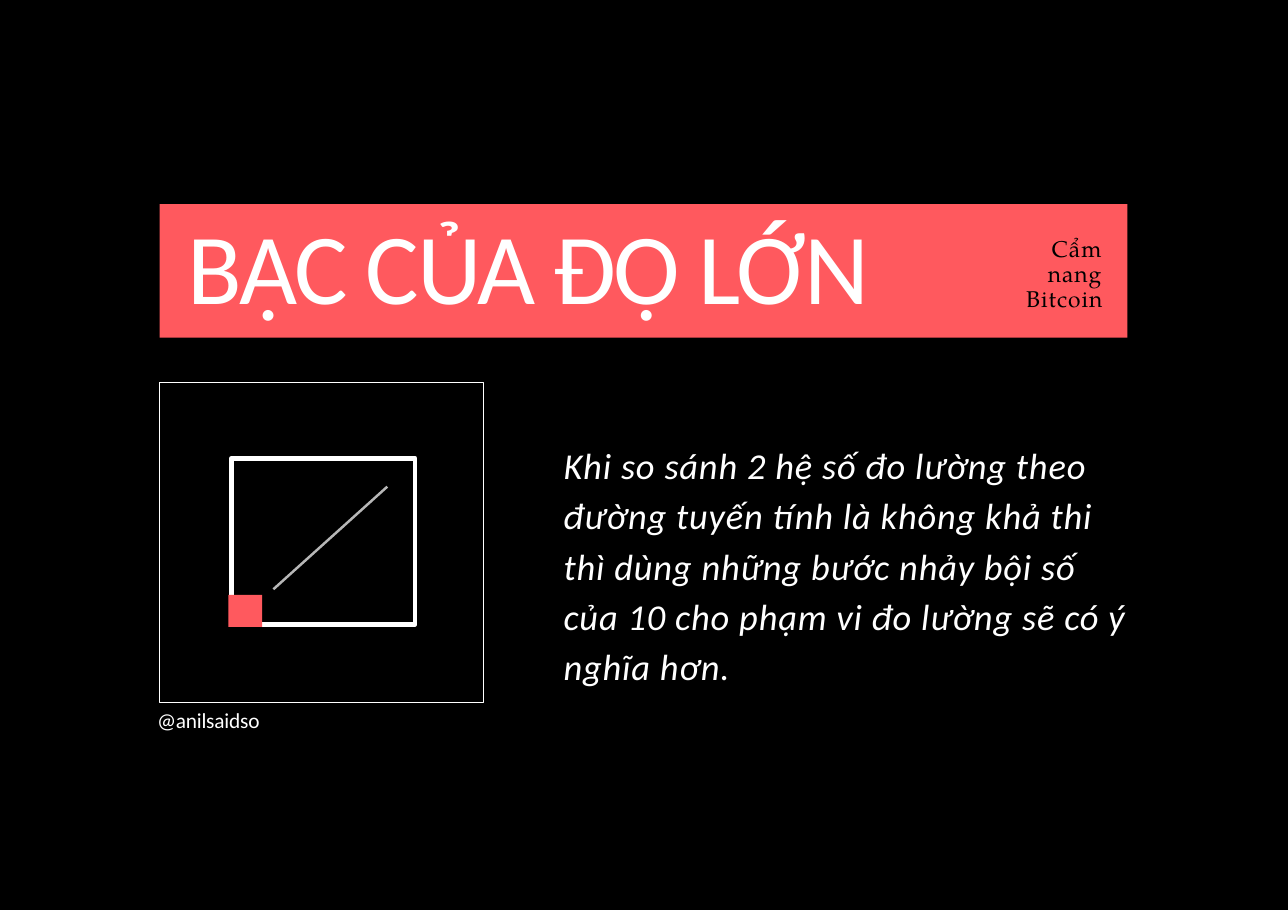
"""Build the slide that explains orders of magnitude."""
from lxml import etree
from pptx import Presentation
from pptx.dml.color import RGBColor
from pptx.enum.shapes import MSO_CONNECTOR, MSO_SHAPE
from pptx.enum.text import MSO_ANCHOR, MSO_AUTO_SIZE, PP_ALIGN
from pptx.oxml.ns import qn
from pptx.util import Pt

RECTANGLE, STRAIGHT = MSO_SHAPE.RECTANGLE, MSO_CONNECTOR.STRAIGHT
TOP, NO_FIT = MSO_ANCHOR.TOP, MSO_AUTO_SIZE.NONE
LEFT, RIGHT = PP_ALIGN.LEFT, PP_ALIGN.RIGHT

BLACK = RGBColor(0x00, 0x00, 0x00)
WHITE = RGBColor(0xFF, 0xFF, 0xFF)
CORAL = RGBColor(0xFF, 0x59, 0x5E)
GREY = RGBColor(0xB7, 0xB7, 0xB7)

SLIDE_SIZE = (784.8, 554.4)
HEADING = "BẬC CỦA ĐỘ LỚN"
DEFINITION = ("Khi so sánh 2 hệ số đo lường theo đường tuyến tính là không khả thi "
              "thì dùng những bước nhảy bội số của 10 cho phạm vi đo lường sẽ có ý "
              "nghĩa hơn.")
HANDLE = "@anilsaidso"
BOOK = "Cẩm nang Bitcoin"

RECTANGLES = [
    ((97.2, 232.8, 197.3, 195.4), None, 0.75),
    ((97.2, 124.4, 589.8, 81.4), CORAL, 0),
    ((141, 279.2, 111.9, 101), None, 3),
    ((139.2, 362.4, 20.6, 19.6), CORAL, 0),
]
TREND = (166.6, 359, 236, 296.5)


def place(box, bounds):
    """Move and size a shape to bounds given in points."""
    box.left, box.top, box.width, box.height = map(Pt, bounds)


def write(box, bounds, text, size, color, inset_top, margin=0.7, indent=0,
          spacing=0, font="Calibri", align=LEFT, line=None, italic=False):
    """Put one formatted paragraph in a text box or placeholder."""
    place(box, bounds)
    frame = box.text_frame
    frame.text = text
    frame.word_wrap = True
    frame.auto_size = NO_FIT
    frame.vertical_anchor = TOP
    frame.margin_left = frame.margin_right = frame.margin_bottom = 0
    frame.margin_top = Pt(inset_top)
    paragraph = frame.paragraphs[0]
    paragraph.alignment = align
    paragraph.space_before = Pt(0)
    paragraph.line_spacing = line
    properties = paragraph._p.get_or_add_pPr()
    properties.set("marL", str(Pt(margin)))
    properties.set("indent", str(Pt(indent)))
    etree.SubElement(properties, qn("a:buNone"))
    run = paragraph.runs[0]
    run.font.name = font
    run.font.size = Pt(size)
    run.font.italic = italic
    run.font.color.rgb = color
    run._r.get_or_add_rPr().set("spc", str(round(spacing * 100)))


def draw_rectangle(shapes, bounds, fill, line_width):
    """Draw a filled block or a white outline."""
    block = shapes.add_shape(RECTANGLE, *map(Pt, bounds))
    block.shadow.inherit = False
    if fill is None:
        block.fill.background()
        block.line.color.rgb = WHITE
        block.line.width = Pt(line_width)
    else:
        block.fill.solid()
        block.fill.fore_color.rgb = fill
        block.line.fill.background()


def main():
    """Assemble and save the slide."""
    deck = Presentation()
    deck.slide_width, deck.slide_height = map(Pt, SLIDE_SIZE)
    slide = deck.slides.add_slide(deck.slide_layouts[1])
    slide.background.fill.solid()
    slide.background.fill.fore_color.rgb = BLACK
    shapes = slide.shapes
    heading, definition = slide.placeholders
    for bounds, fill, line_width in RECTANGLES:
        draw_rectangle(shapes, bounds, fill, line_width)
    trend = shapes.add_connector(STRAIGHT, *map(Pt, TREND))
    trend.line.color.rgb = GREY
    trend.line.width = Pt(1.5)
    etree.SubElement(trend._element.spPr, qn("a:effectLst"))

    for placeholder in (heading, definition):
        shapes._spTree.append(placeholder._element)
    write(heading, (113.8, 121.7, 499, 74.9), HEADING, 61.2, WHITE, 2.5, spacing=-1.4)
    write(definition, (338.4, 248.4, 348.5, 170), DEFINITION, 22.2, WHITE, 17.5,
          margin=5, spacing=0.5, line=1.15, italic=True)
    write(shapes.add_textbox(0, 0, 0, 0), (95, 429.1, 67, 16.6), HANDLE, 13, WHITE, 1.6,
          spacing=-0.1)
    write(shapes.add_textbox(0, 0, 0, 0), (592.6, 139, 79.2, 48.2), BOOK, 13.9, BLACK, 5.5,
          indent=44.6, spacing=0.6, font="TeX Gyre Pagella", align=RIGHT, line=Pt(15.3))
    deck.save("out.pptx")


if __name__ == "__main__":
    main()
